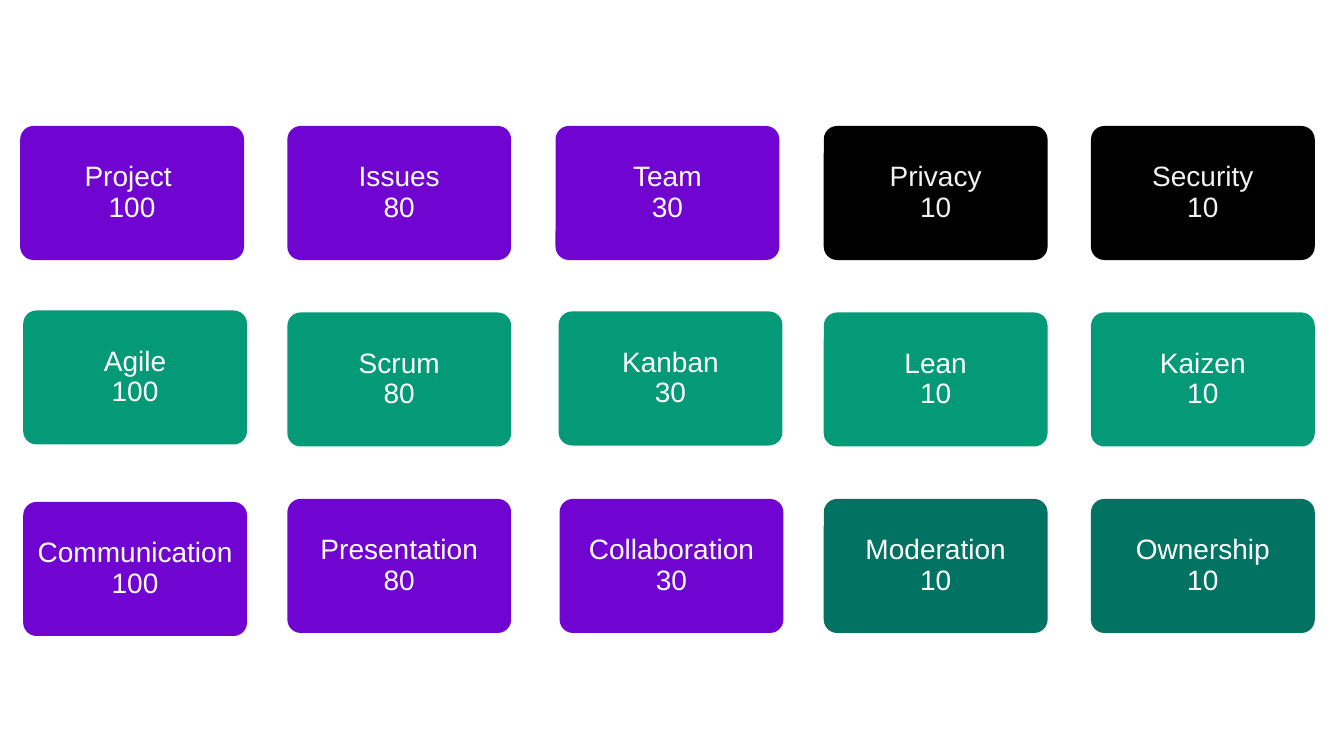
"""Build a slide with fifteen topic cards in three rows."""
from pptx import Presentation
from pptx.dml.color import RGBColor
from pptx.enum.shapes import MSO_SHAPE
from pptx.enum.text import MSO_ANCHOR, PP_ALIGN
from pptx.util import Inches, Pt

PURPLE = RGBColor(0x70, 0x05, 0xD1)
BLACK = RGBColor(0x00, 0x00, 0x00)
GREEN = RGBColor(0x04, 0x9A, 0x78)
TEAL = RGBColor(0x02, 0x72, 0x62)
WHITE = RGBColor(0xFF, 0xFF, 0xFF)
LIGHT_GREY = RGBColor(0xF2, 0xF2, 0xF2)

CARD_WIDTH, CARD_HEIGHT = 2.22, 1.33
SCORES = [100, 80, 30, 10, 10]
CARD_ROWS = [
    [
        ("Project ", 0.2, 1.25, PURPLE),
        ("Issues", 2.85, 1.25, PURPLE),
        ("Team", 5.51, 1.25, PURPLE),
        ("Privacy", 8.17, 1.25, BLACK),
        ("Security", 10.82, 1.25, BLACK),
    ],
    [
        ("Agile", 0.23, 3.08, GREEN),
        ("Scrum", 2.85, 3.1, GREEN),
        ("Kanban", 5.54, 3.09, GREEN),
        ("Lean", 8.17, 3.1, GREEN),
        ("Kaizen", 10.82, 3.1, GREEN),
    ],
    [
        ("Communication", 0.23, 4.98, PURPLE),
        ("Presentation", 2.85, 4.95, PURPLE),
        ("Collaboration", 5.55, 4.95, PURPLE),
        ("Moderation", 8.17, 4.95, TEAL),
        ("Ownership", 10.82, 4.95, TEAL),
    ],
]


def write_text(text_frame, lines, color=WHITE, size=20, font="Arial"):
    text_frame.word_wrap = True
    text_frame.vertical_anchor = MSO_ANCHOR.MIDDLE
    text_frame.margin_left = text_frame.margin_right = Inches(0.05)
    text_frame.margin_top = text_frame.margin_bottom = Inches(0.1)
    for index, line in enumerate(lines):
        paragraph = text_frame.add_paragraph() if index else text_frame.paragraphs[0]
        paragraph.alignment = PP_ALIGN.CENTER
        paragraph.line_spacing = 0.9
        run = paragraph.add_run()
        run.text = line
        run.font.name = font
        run.font.size = Pt(size)
        run.font.color.rgb = color


presentation = Presentation()
presentation.slide_width = Inches(13.33)
presentation.slide_height = Inches(7.5)
slide = presentation.slides.add_slide(presentation.slide_layouts[6])

for card_row in CARD_ROWS:
    for (topic, left, top, fill_color), score in zip(card_row, SCORES):
        card = slide.shapes.add_shape(
            MSO_SHAPE.ROUNDED_RECTANGLE,
            Inches(left), Inches(top), Inches(CARD_WIDTH), Inches(CARD_HEIGHT),
        )
        card.adjustments[0] = 0.1
        card.shadow.inherit = False
        card.fill.solid()
        card.fill.fore_color.rgb = fill_color
        card.line.fill.background()
        text_color = LIGHT_GREY if fill_color == BLACK else WHITE
        write_text(card.text_frame, [topic, str(score)], color=text_color)

presentation.save("out.pptx")
